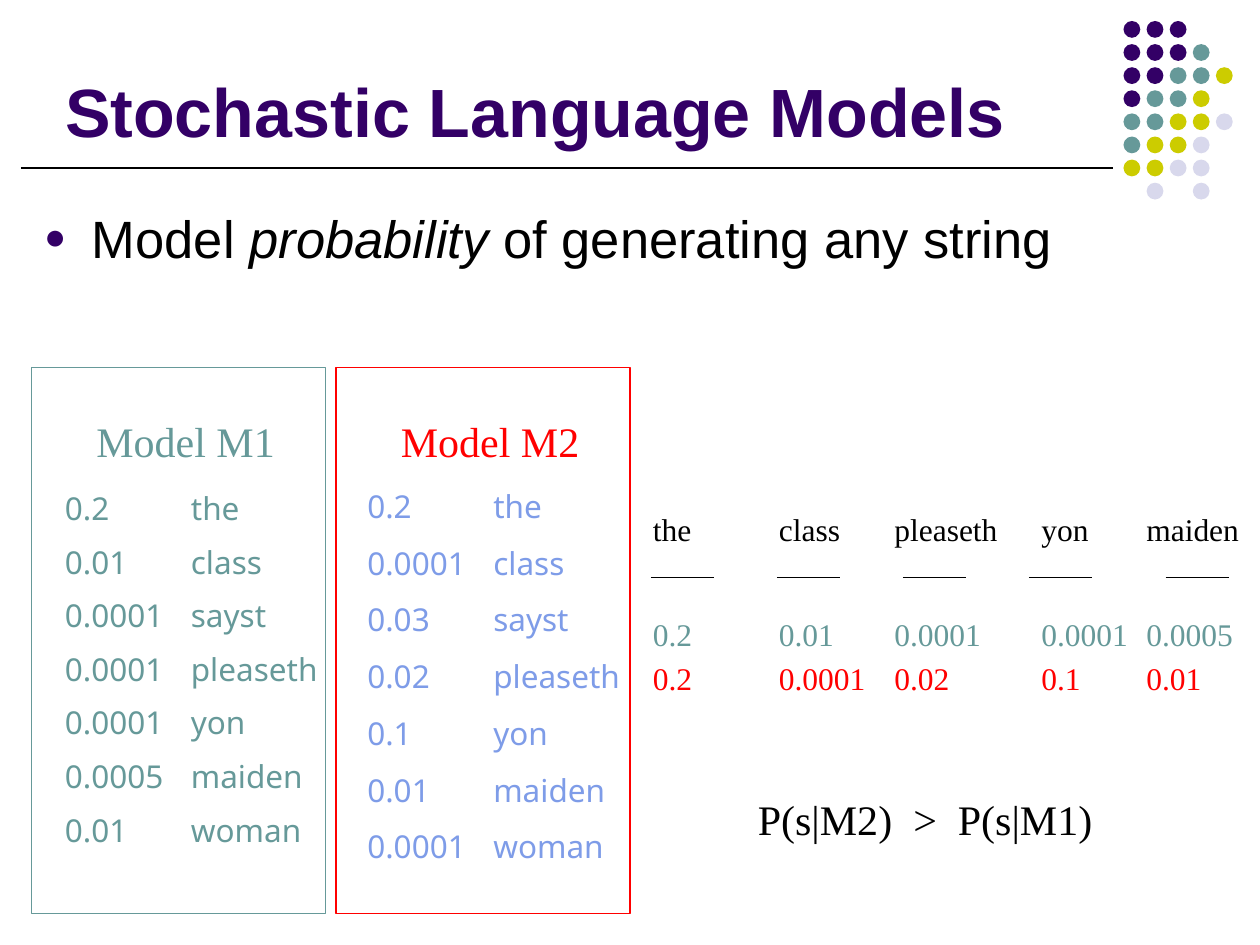
from pptx import Presentation
from pptx.dml.color import RGBColor
from pptx.enum.shapes import MSO_CONNECTOR, MSO_SHAPE
from pptx.enum.text import MSO_ANCHOR, MSO_AUTO_SIZE, PP_ALIGN
from pptx.oxml.ns import qn
from pptx.util import Inches, Pt
from lxml.etree import SubElement

PURPLE = RGBColor(0x33, 0x00, 0x66)
TEAL = RGBColor(0x66, 0x99, 0x99)
OLIVE = RGBColor(0xCC, 0xCC, 0x00)
LAVENDER = RGBColor(0xD8, 0xD8, 0xEC)
BLUE = RGBColor(0x7E, 0x9C, 0xE8)
RED = RGBColor(0xFF, 0x00, 0x00)
BLACK = RGBColor(0x00, 0x00, 0x00)

CELL = Inches(10) / 120  # the slide is a grid of 120 columns by 90 rows
SERIF = "Times New Roman"
DOT_COLORS = {"P": PURPLE, "T": TEAL, "O": OLIVE, "L": LAVENDER}
DOT_ROWS = ["PPP", "PPPT", "PPTTO", "PTTO", "TTOOL", "TOOL", "OOLL", " L L"]

WORDS = ["the", "class", "sayst", "pleaseth", "yon", "maiden", "woman"]
M1_VALUES = ["0.2", "0.01", "0.0001", "0.0001", "0.0001", "0.0005", "0.01"]
M2_VALUES = ["0.2", "0.0001", "0.03", "0.02", "0.1", "0.01", "0.0001"]
SENTENCE = ["the", "class", "pleaseth", "yon", "maiden"]


def grid(*cells):
    """Turn grid cells into slide lengths."""
    return [round(cell * CELL) for cell in cells]


def set_format(target, **values):
    for name, value in values.items():
        if name == "color":
            target.color.rgb = value
        else:
            setattr(target, name, value)


def add_line(slide, left, top, width):
    line = slide.shapes.add_connector(
        MSO_CONNECTOR.STRAIGHT, *grid(left, top, left + width, top))
    set_format(line.line, color=BLACK, width=Pt(0.75))
    SubElement(line._element.spPr, qn("a:effectLst"))


def add_text(slide, box, lines, font, spacing=None, gap=0, tab=None):
    shape = slide.shapes.add_textbox(*grid(*box))
    frame = shape.text_frame
    frame.word_wrap = True
    frame.text = "\n".join(lines)
    for index, paragraph in enumerate(frame.paragraphs):
        set_format(paragraph, line_spacing=spacing, space_before=Pt(gap if index else 0))
        if tab:
            tabs = SubElement(paragraph._p.get_or_add_pPr(), qn("a:tabLst"))
            SubElement(tabs, qn("a:tab"), pos=str(grid(tab)[0]), algn="l")
        set_format(paragraph.font, **font)


def add_dots(slide, left, top, pitch, size):
    for row, codes in enumerate(DOT_ROWS):
        for column, code in enumerate(codes):
            if code == " ":
                continue
            dot = slide.shapes.add_shape(
                MSO_SHAPE.OVAL,
                *grid(left + column * pitch, top + row * pitch, size, size))
            dot.shadow.inherit = False
            dot.fill.solid()
            dot.fill.fore_color.rgb = DOT_COLORS[code]
            dot.line.fill.background()


def place_placeholder(shape, box, anchor):
    shape.left, shape.top, shape.width, shape.height = grid(*box)
    set_format(shape.text_frame, word_wrap=True, vertical_anchor=anchor,
               auto_size=MSO_AUTO_SIZE.NONE)
    paragraph = shape.text_frame.paragraphs[0]
    set_format(paragraph, alignment=PP_ALIGN.LEFT, space_before=Pt(0))
    return paragraph


def fill_title(shape, box):
    paragraph = place_placeholder(shape, box, MSO_ANCHOR.BOTTOM)
    paragraph.add_run().text = "Stochastic Language Models"
    set_format(paragraph.runs[0].font, name="Arial", size=Pt(39), bold=True, color=PURPLE)


def fill_body(shape, box):
    paragraph = place_placeholder(shape, box, MSO_ANCHOR.TOP)
    properties = paragraph._p.get_or_add_pPr()
    properties.set("marL", str(Inches(0.38)))
    properties.set("indent", str(-Inches(0.38)))
    color = SubElement(properties, qn("a:buClr"))
    SubElement(color, qn("a:srgbClr"), val=str(PURPLE))
    SubElement(properties, qn("a:buSzPct"), val="70000")
    SubElement(properties, qn("a:buFont"), typeface="Arial")
    SubElement(properties, qn("a:buChar"), char="●")
    for text, italic in [("Model ", False), ("probability", True),
                         (" of generating any string", False)]:
        run = paragraph.add_run()
        run.text = text
        set_format(run.font, name="Arial", size=Pt(30), italic=italic, color=BLACK)


def add_model(slide, box, name, color, values, list_offset, list_color, spacing, gap):
    """Draw a framed model: its name above a list of word probabilities."""
    left, top, width, height = box
    frame = slide.shapes.add_shape(MSO_SHAPE.RECTANGLE, *grid(*box))
    frame.shadow.inherit = False
    frame.fill.background()
    set_format(frame.line, color=color, width=Pt(0.75))
    add_text(slide, (left + 5, top + 4, 21, 6), [name],
             dict(name=SERIF, size=Pt(24), color=color))
    across, down = list_offset
    add_text(slide, (left + across, top + down, width, height - down),
             [f"{value}\t{word}" for value, word in zip(values, WORDS)],
             dict(name="Noto Sans", size=Pt(18), color=list_color),
             spacing, gap, tab=12)


def add_sentence(slide, left, top):
    """Draw the sentence with each word's probability under both models."""
    text_columns = [(0, 12), (12, 11), (23, 14), (37, 12), (47, 12)]
    rule_columns = [1, 13, 25, 37, 50]
    rows = [(0, SENTENCE, BLACK)]
    for offset, values, color in [(10, M1_VALUES, TEAL), (14.2, M2_VALUES, RED)]:
        probability = dict(zip(WORDS, values))
        rows.append((offset, [probability[word] for word in SENTENCE], color))
    for offset, texts, color in rows:
        for (column, width), text in zip(text_columns, texts):
            add_text(slide, (left + column, top + offset, width, 4.8), [text],
                     dict(name=SERIF, size=Pt(18), color=color))
    for column in rule_columns:
        add_line(slide, left + column, top + 7, 6)


def main():
    presentation = Presentation()
    presentation.slide_width, presentation.slide_height = grid(120, 90)
    slide = presentation.slides.add_slide(presentation.slide_layouts[1])
    add_dots(slide, 107, 2, pitch=2.2, size=1.6)
    add_line(slide, 2, 16, 104)
    fill_title(slide.shapes.title, (5, 3, 98, 12))
    fill_body(slide.placeholders[1], (3, 19, 113, 14.6))
    add_model(slide, (3, 35, 28, 52), "Model M1", TEAL, M1_VALUES,
              (2, 11), TEAL, Pt(21.6), 9)
    add_model(slide, (32, 35, 28, 52), "Model M2", RED, M2_VALUES,
              (1.8, 9), BLUE, Pt(32.4), 0)
    add_sentence(slide, 61, 48)
    add_text(slide, (71, 75, 35, 6), ["P(s|M2)  >  P(s|M1)"],
             dict(name=SERIF, size=Pt(24), color=BLACK))
    presentation.save("out.pptx")


if __name__ == "__main__":
    main()
